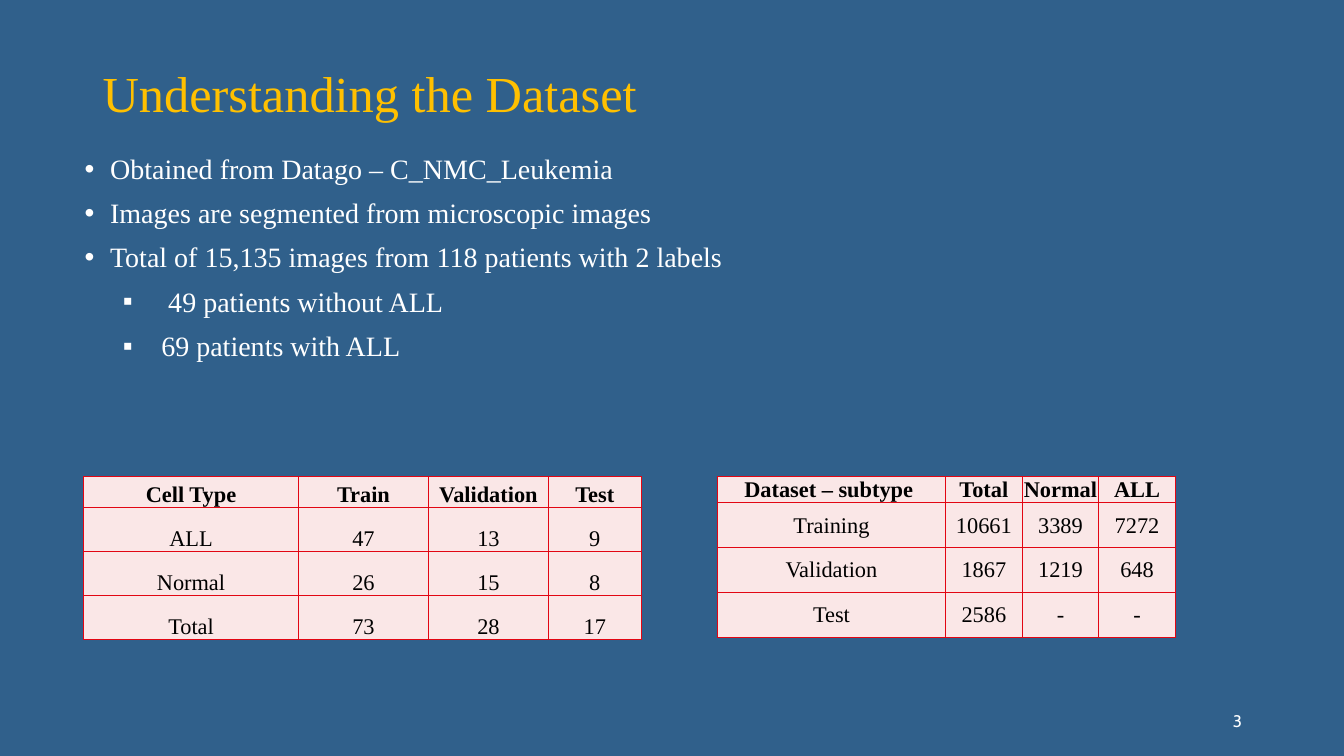
from lxml import etree
from pptx import Presentation
from pptx.dml.color import RGBColor
from pptx.enum.text import MSO_ANCHOR, MSO_AUTO_SIZE, PP_ALIGN
from pptx.oxml.ns import qn
from pptx.util import Cm, Pt

LEFT, CENTER, RIGHT = PP_ALIGN.LEFT, PP_ALIGN.CENTER, PP_ALIGN.RIGHT
MIDDLE, BOTTOM, TOP = MSO_ANCHOR.MIDDLE, MSO_ANCHOR.BOTTOM, MSO_ANCHOR.TOP
NO_AUTOFIT = MSO_AUTO_SIZE.NONE
SERIF = "Times New Roman"
COLORS = {
    "background": "30608B",
    "title": "FFC000",
    "light": "FFFFFF",
    "dark": "000000",
    "cell": "FAE7E7",
    "border": "E20613",
}


def add_run(paragraph, text, size, color, font=SERIF, bold=False):
    run = paragraph.add_run()
    run.text = text
    run.font.size = Pt(size)
    run.font.name = font
    run.font.bold = bold
    run.font.color.rgb = RGBColor.from_string(COLORS[color])


def place(shape, left, top, width, height, anchor):
    shape.left, shape.top = Cm(left), Cm(top)
    shape.width, shape.height = Cm(width), Cm(height)
    shape.text_frame.word_wrap = True
    shape.text_frame.auto_size = NO_AUTOFIT
    shape.text_frame.vertical_anchor = anchor


presentation = Presentation()
presentation.slide_width = Cm(33.87)
presentation.slide_height = Cm(19.05)
slide = presentation.slides.add_slide(presentation.slide_layouts[1])
slide.background.fill.solid()
slide.background.fill.fore_color.rgb = RGBColor.from_string(COLORS["background"])

title = slide.shapes.title
place(title, 2.33, 0.58, 29.21, 3.68, MIDDLE)
paragraph = title.text_frame.paragraphs[0]
paragraph.alignment = LEFT
paragraph.line_spacing = 0.9
add_run(paragraph, "Understanding the Dataset", 36, "title")

body = slide.placeholders[1]
place(body, 1.88, 3.78, 29.21, 6.48, TOP)
bullet_styles = {"•": (0.64, 0.64), "▪": (1.93, 0.97)}
bullets = [
    ("•", "Obtained from Datago – C_NMC_Leukemia"),
    ("•", "Images are segmented from microscopic images"),
    ("•", "Total of 15,135 images from 118 patients with 2 labels"),
    ("▪", " 49 patients without ALL"),
    ("▪", "69 patients with ALL"),
]
for index, (symbol, text) in enumerate(bullets):
    frame = body.text_frame
    paragraph = frame.add_paragraph() if index else frame.paragraphs[0]
    paragraph.line_spacing = 0.9
    paragraph.space_before = Pt(10)
    margin, hanging = bullet_styles[symbol]
    properties = paragraph._p.get_or_add_pPr()
    properties.set("marL", str(Cm(margin)))
    properties.set("indent", str(-Cm(hanging)))
    etree.SubElement(properties, qn("a:buFont"), typeface="Arial")
    etree.SubElement(properties, qn("a:buChar"), char=symbol)
    add_run(paragraph, text, 20, "light")

subtype_rows = [
    ("Dataset – subtype ", "Total", "Normal", "ALL"),
    ("Training", "10661", "3389", "7272"),
    ("Validation", "1867", "1219", "648"),
    ("Test", "2586", "-", "-"),
]
cell_type_rows = [
    ("Cell Type", "Train", "Validation", "Test"),
    ("ALL", "47", "13", "9"),
    ("Normal", "26", "15", "8"),
    ("Total", "73", "28", "17"),
]
tables = [
    (subtype_rows, 18.08, [5.75, 1.93, 1.93, 1.93], 0.66, 1.13, MIDDLE),
    (cell_type_rows, 2.11, [5.41, 3.28, 3.02, 2.34], 0.78, 1.11, BOTTOM),
]
for rows, left, widths, header_height, row_height, anchor in tables:
    heights = [header_height] + [row_height] * (len(rows) - 1)
    table = slide.shapes.add_table(
        len(rows), len(widths), Cm(left), Cm(12.01), Cm(sum(widths)), Cm(sum(heights))
    ).table
    for column, width in zip(table.columns, widths):
        column.width = Cm(width)
    for row_index, values in enumerate(rows):
        table.rows[row_index].height = Cm(heights[row_index])
        for column_index, value in enumerate(values):
            cell = table.cell(row_index, column_index)
            cell.vertical_anchor = anchor
            cell.margin_left = cell.margin_right = cell.margin_top = Cm(0.02)
            cell.margin_bottom = 0
            properties = cell._tc.get_or_add_tcPr()
            for side in ("a:lnL", "a:lnR", "a:lnT", "a:lnB"):
                line = etree.SubElement(properties, qn(side), w=str(Pt(1)))
                fill = etree.SubElement(line, qn("a:solidFill"))
                etree.SubElement(fill, qn("a:srgbClr"), val=COLORS["border"])
            cell.fill.solid()
            cell.fill.fore_color.rgb = RGBColor.from_string(COLORS["cell"])
            paragraph = cell.text_frame.paragraphs[0]
            paragraph.alignment = CENTER
            add_run(paragraph, value, 16, "dark", bold=row_index == 0)

page_number = slide.shapes.add_textbox(0, 0, 0, 0)
place(page_number, 23.93, 17.65, 7.62, 1.02, MIDDLE)
paragraph = page_number.text_frame.paragraphs[0]
paragraph.alignment = RIGHT
add_run(paragraph, "3", 12, "light", font="Cabin")

presentation.save("out.pptx")
